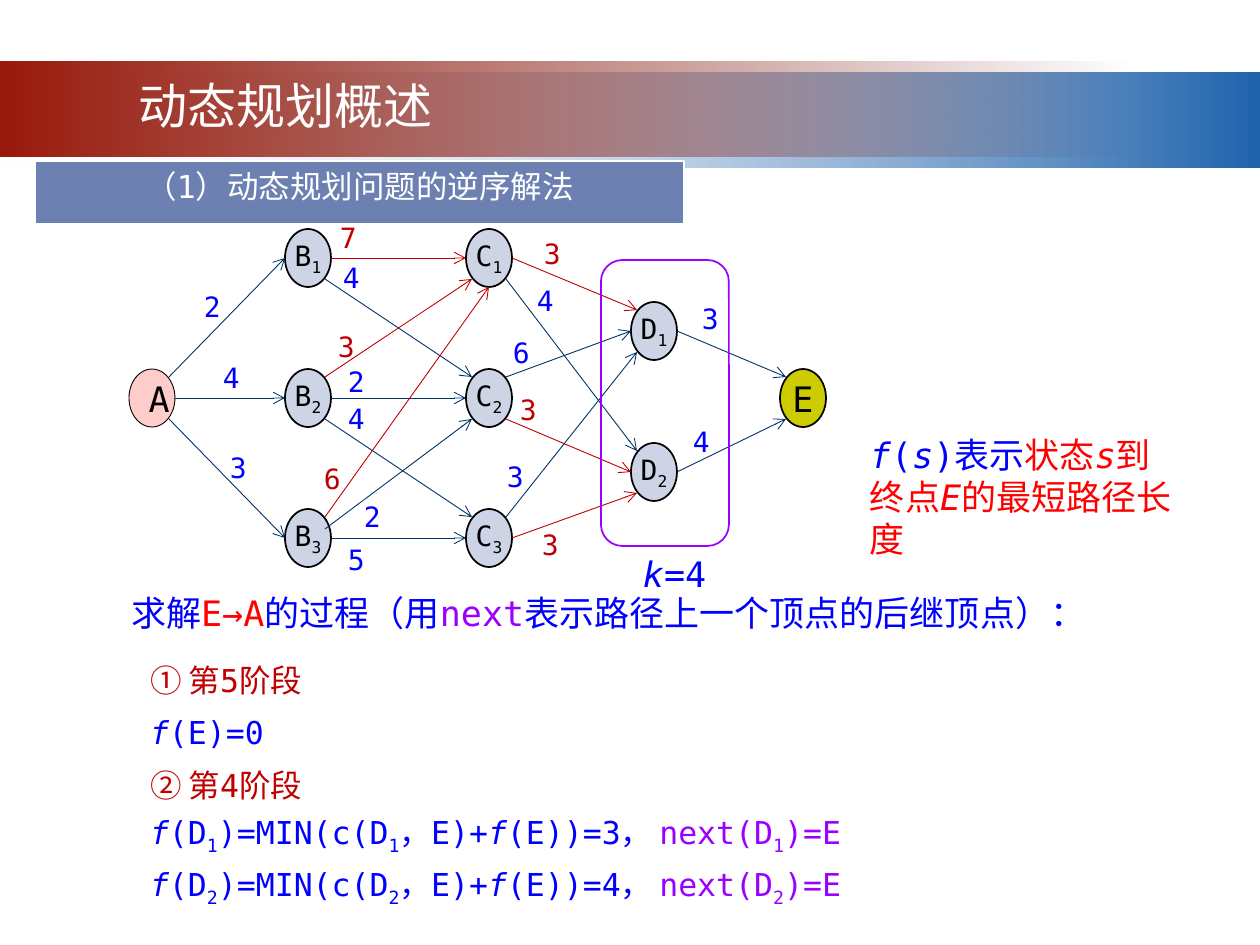
from lxml import etree
from pptx import Presentation
from pptx.dml.color import RGBColor
from pptx.enum.shapes import MSO_CONNECTOR, MSO_SHAPE
from pptx.enum.text import MSO_ANCHOR, MSO_AUTO_SIZE, PP_ALIGN
from pptx.oxml.ns import qn
from pptx.util import Emu, Pt

RECT, OVAL, ROUNDED = MSO_SHAPE.RECTANGLE, MSO_SHAPE.OVAL, MSO_SHAPE.ROUNDED_RECTANGLE
STRAIGHT = MSO_CONNECTOR.STRAIGHT
LEFT, CENTER = PP_ALIGN.LEFT, PP_ALIGN.CENTER
TOP, MIDDLE = MSO_ANCHOR.TOP, MSO_ANCHOR.MIDDLE
GROW = MSO_AUTO_SIZE.SHAPE_TO_FIT_TEXT

MONO, HAN = "DejaVu Sans Mono", "Noto Sans CJK SC"
WHITE, BLACK = "FFFFFF", "000000"
BLUE, RED, DARK_RED, PURPLE = "0000FF", "FF0000", "C00000", "9900FF"
NAVY, STEEL, NODE_FILL = "003366", "6C81B2", "CDD4E5"
PX_PER_INCH = 126


def px(length):
    return Emu(round(length * 914400 / PX_PER_INCH))


def rgb(value):
    return RGBColor.from_string(value)


class Board:
    """Holds the current slide and draws each kind of element on it."""

    def __init__(self, slide, font=MONO):
        self.slide = slide
        self.font = font

    def fill_text(self, frame, paragraphs, size, align=LEFT, anchor=TOP,
                  inset=(13, 6), spacing=None, font=None):
        """Each run is (text, colour) or (text, colour, "italic" | "sub")."""
        frame.word_wrap = True
        frame.vertical_anchor = anchor
        frame.margin_left = frame.margin_right = px(inset[0])
        frame.margin_top = frame.margin_bottom = px(inset[1])
        for index, runs in enumerate(paragraphs):
            paragraph = frame.add_paragraph() if index else frame.paragraphs[0]
            paragraph.alignment = align
            if spacing:
                paragraph.line_spacing = Pt(spacing)
            for text, color, *style in runs:
                run = paragraph.add_run()
                run.text = text
                run.font.name = font or self.font
                run.font.size = Pt(size)
                run.font.color.rgb = rgb(color)
                if "italic" in style:
                    run.font.italic = True
                if "sub" in style:
                    run.font._element.set("baseline", "-25000")

    def shape(self, kind, box, fill=None, line=None, width=1):
        shape = self.slide.shapes.add_shape(kind, *map(px, box))
        shape.shadow.inherit = False
        if fill:
            shape.fill.solid()
            shape.fill.fore_color.rgb = rgb(fill)
        else:
            shape.fill.background()
        if line:
            shape.line.color.rgb = rgb(line)
            shape.line.width = Pt(width)
        else:
            shape.line.fill.background()
        return shape

    def fading_band(self, box, colors, clear_stop):
        band = self.shape(RECT, box)
        band.fill.gradient()
        band.fill.gradient_angle = 0
        for stop, color in zip(band.fill.gradient_stops, colors):
            stop.color.rgb = rgb(color)
        stop_colors = list(band._element.spPr.iter(qn("a:srgbClr")))
        etree.SubElement(stop_colors[clear_stop], qn("a:alpha"), val="0")

    def text(self, box, paragraphs, size, **style):
        frame = self.slide.shapes.add_textbox(*map(px, box)).text_frame
        self.fill_text(frame, paragraphs, size, **style)
        frame.auto_size = GROW

    def arrow(self, start, end, color):
        arrow = self.slide.shapes.add_connector(STRAIGHT, *map(px, start + end))
        arrow.line.color.rgb = rgb(color)
        arrow.line.width = Pt(0.5)
        etree.SubElement(arrow.line._get_or_add_ln(), qn("a:tailEnd"), type="arrow")
        etree.SubElement(arrow._element.spPr, qn("a:effectLst"))


# Graph: node centres, the points where edges meet a node, edges and weights
NODES = {"A": (152, 398), "E": (803, 398)}
for layer, center_x, rows in (("B", 308, (258, 398, 538)),
                              ("C", 489, (258, 398, 538)),
                              ("D", 654, (331, 472))):
    for number, center_y in enumerate(rows, 1):
        NODES[f"{layer}{number}"] = (center_x, center_y)
NODE_W, NODE_H = 46, 58
END_NODES = {"A": ("FFCCCC", 0.5, (13, 6)), "E": ("CCCC00", 1, (0, 6))}

PORTS = {"e": (23, 0), "w": (-23, 0), "s": (0, 29), "ne": (17, -21),
         "se": (17, 21), "nw": (-17, -21), "sw": (-17, 21), "ene": (17, -9)}

# from, port, to, port, colour, weight, left and top of the weight
EDGES = [
    ("A", "ne", "B1", "w", NAVY, "2", 204, 290),
    ("A", "e", "B2", "w", NAVY, "4", 223, 361),
    ("A", "se", "B3", "w", NAVY, "3", 230, 451),
    ("B1", "e", "C1", "w", DARK_RED, "7", 340, 221),
    ("B1", "se", "C2", "nw", NAVY, "4", 343, 261),
    ("B2", "e", "C2", "w", NAVY, "2", 348, 365),
    ("B2", "ne", "C1", "sw", DARK_RED, "3", 338, 330),
    ("B2", "se", "C3", "nw", NAVY, "4", 348, 402),
    ("B3", "ne", "C1", "s", DARK_RED, "6", 324, 462),
    ("B3", "ene", "C2", "sw", NAVY, "2", 364, 500),
    ("B3", "e", "C3", "w", NAVY, "5", 348, 543),
    ("C1", "e", "D1", "nw", DARK_RED, "3", 544, 237),
    ("C1", "se", "D2", "nw", NAVY, "4", 537, 284),
    ("C2", "ne", "D1", "w", NAVY, "6", 513, 336),
    ("C2", "se", "D2", "w", DARK_RED, "3", 520, 393),
    ("C3", "ne", "D1", "sw", NAVY, "3", 507, 460),
    ("C3", "e", "D2", "sw", DARK_RED, "3", 542, 528),
    ("D1", "e", "E", "nw", NAVY, "3", 702, 302),
    ("D2", "e", "E", "sw", NAVY, "4", 693, 425),
]


def port(node, side):
    return tuple(c + d for c, d in zip(NODES[node], PORTS[side]))


def stage_formula(number, cost):
    return [("f", BLUE, "italic"), ("(D", BLUE), (number, BLUE, "sub"),
            (")=MIN(c(D", BLUE), (number, BLUE, "sub"), ("，E)+", BLUE),
            ("f", BLUE, "italic"), (f"(E))={cost}， ", BLUE),
            ("next(D", PURPLE), (number, PURPLE, "sub"), (")=E", PURPLE)]


def main():
    deck = Presentation()
    deck.slide_width, deck.slide_height = px(1260), px(945)
    board = Board(deck.slides.add_slide(deck.slide_layouts[6]))

    # Header bands and headings
    board.fading_band((0, 73, 1260, 95), ("F1F2F7", "1F63AD"), 0)
    board.fading_band((0, 62, 1134, 95), ("99190B", "6D1208"), 1)
    board.text((44, 69, 483, 72), [[("动态规划概述", WHITE)]], 28,
               align=CENTER, font=HAN)
    section = board.shape(RECT, (35, 161, 649, 63), STEEL, WHITE, 1.5)
    board.fill_text(section.text_frame, [[("（1）动态规划问题的逆序解法", WHITE)]], 18,
                    align=CENTER)

    # Graph nodes
    for name, (x, y) in NODES.items():
        fill, width, inset = END_NODES.get(name, (NODE_FILL, 1, (0, 6)))
        node = board.shape(OVAL, (x - NODE_W // 2, y - NODE_H // 2, NODE_W, NODE_H),
                           fill, BLACK, width)
        label = [(name[0], BLACK)]
        if name[1:]:
            label.append((name[1:], BLACK, "sub"))
        board.fill_text(node.text_frame, [label], 20 if name in END_NODES else 16,
                        align=CENTER, anchor=MIDDLE, inset=inset)

    # Graph edges with their weights
    for start, leave, end, enter, color, weight, left, top in EDGES:
        board.arrow(port(start, leave), port(end, enter), color)
        weight_color = DARK_RED if color == DARK_RED else BLUE
        board.text((left, top, 24, 34), [[(weight, weight_color)]], 16, inset=(0, 0))

    # Stage frame
    board.shape(ROUNDED, (601, 260, 128, 286), line=PURPLE)
    board.text((630, 546, 96, 55), [[("k", BLUE, "italic"), ("=4", BLUE)]], 20)

    # Meaning of f(s)
    board.text((857, 427, 335, 97), [[
        ("f", BLUE, "italic"), ("(", BLUE), ("s", BLUE, "italic"), (")表示", BLUE),
        ("状态", RED), ("s", RED, "italic"), ("到终点", RED),
        ("E", RED, "italic"), ("的最短路径长度", RED)]], 20)

    # Solving process
    board.text((118, 585, 1102, 55), [[
        ("求解", BLUE), ("E→A", RED), ("的过程（用", BLUE), ("next", PURPLE),
        ("表示路径上一个顶点的后继顶点）：", BLUE)]], 20)
    board.text((137, 640, 777, 277), [
        [("① 第5阶段", DARK_RED)],
        [("f", BLUE, "italic"), ("(E)=0", BLUE)],
        [("② 第4阶段", DARK_RED)],
        stage_formula("1", 3),
        stage_formula("2", 4)], 18, spacing=30)

    deck.save("out.pptx")


if __name__ == "__main__":
    main()
